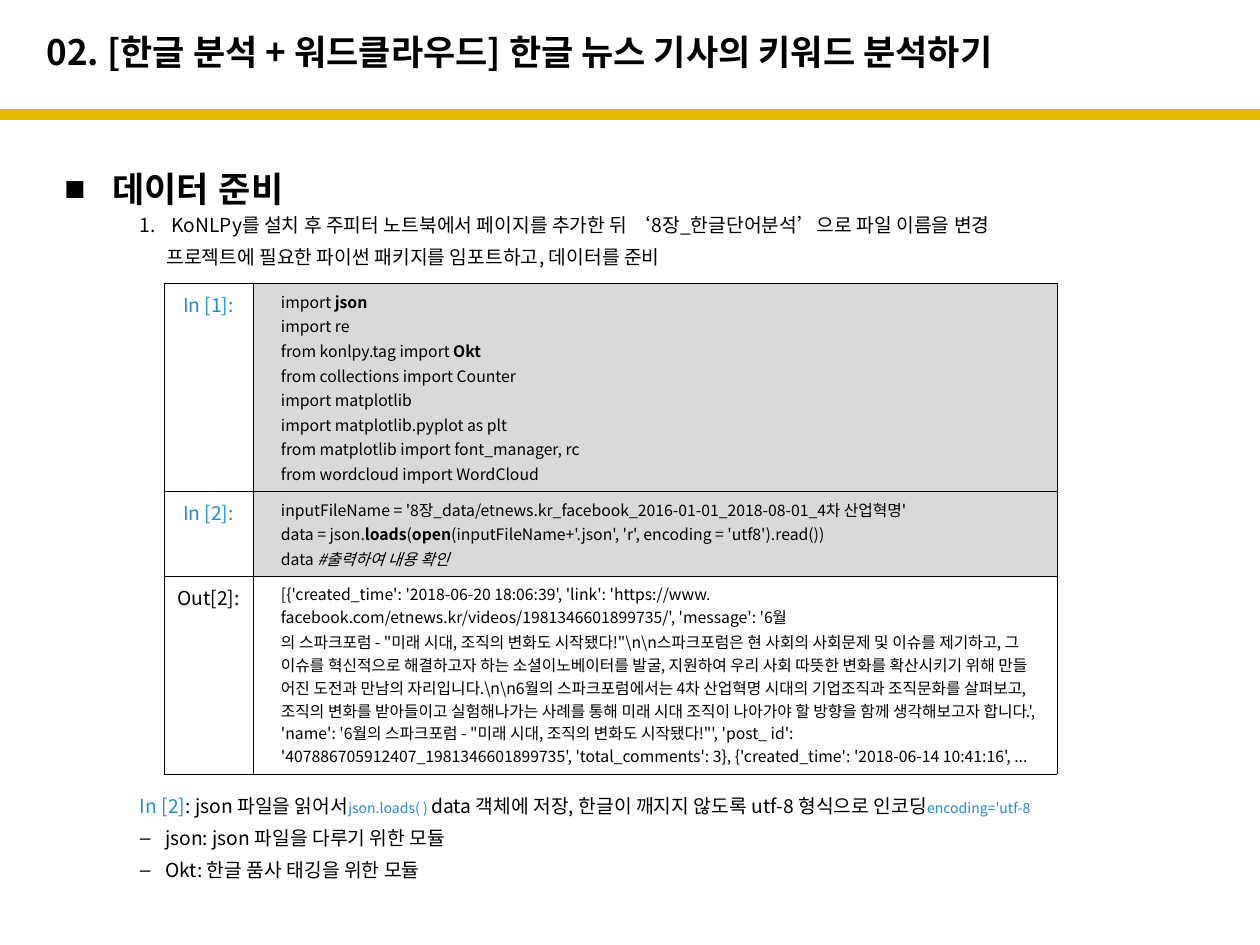
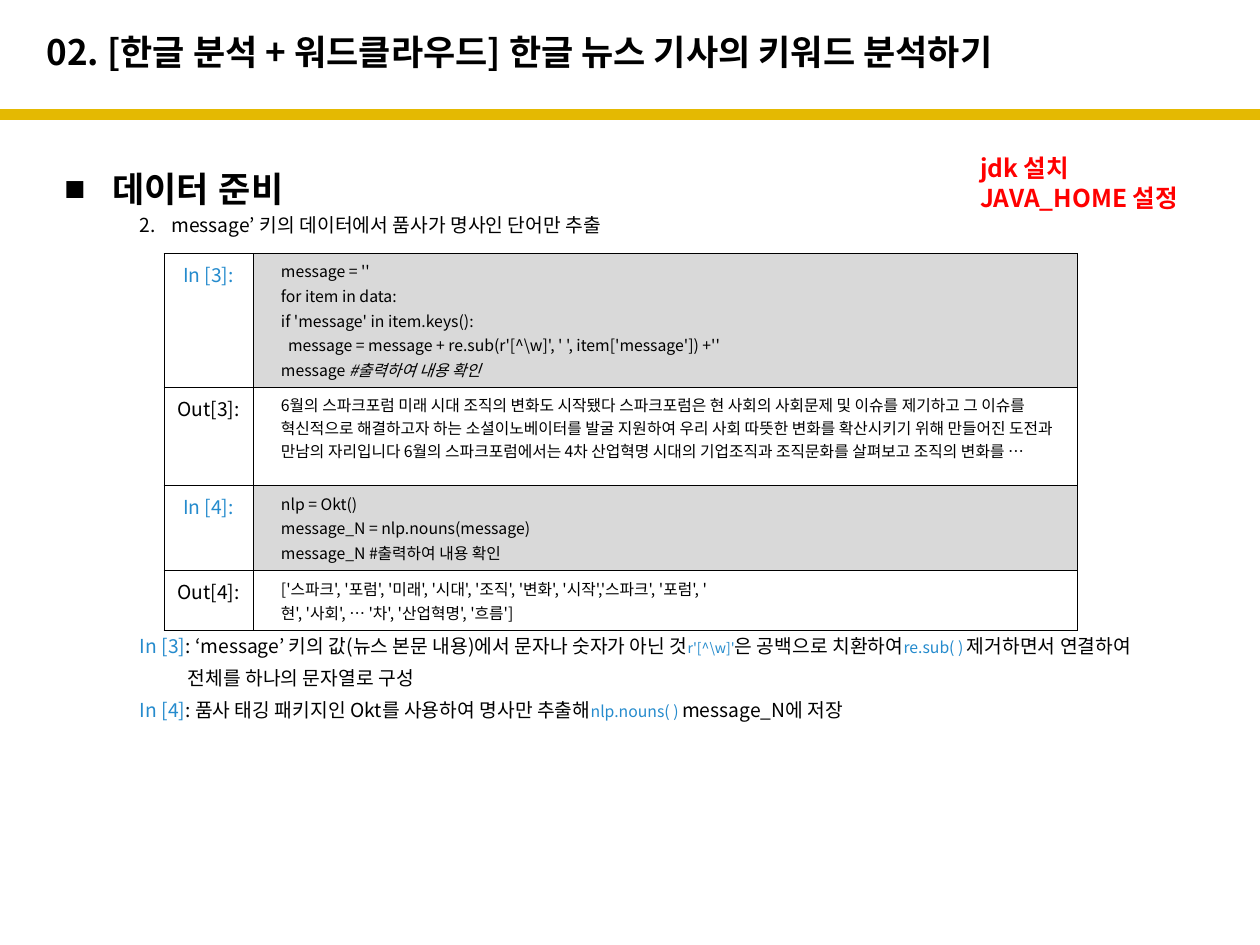
from lxml import etree
from pptx import Presentation
from pptx import util as u
from pptx.dml.color import RGBColor
from pptx.enum import shapes, text
from pptx.oxml.ns import qn

HUES = {"gold": "E4B902", "ink": "000000", "blue": "258BCD",
        "grey": "D9D9D9", "white": "FFFFFF", "red": "FF0000"}
FONT = "Noto Sans CJK KR"
HEAD = "02. [한글 분석 + 워드클라우드] 한글 뉴스 기사의 키워드 분석하기"
TOPIC = "데이터 준비"

deck = Presentation()
deck.slide_width, deck.slide_height = u.Inches(10), u.Inches(7.5)
UNIT = deck.slide_width // 100  # the slide is a grid of 100 columns and 75 rows

# Pieces between bars are marked: bold or italic in code, blue in notes.
SMALL = {"json.loads( ) ": 8, "encoding='utf-8": 8, r"r'[^\w]'": 8,
         "re.sub( ) ": 9, "nlp.nouns( ) ": 9}

# List and note lines: (text, left margin, first indent, bullet)
# Code rows: (label, height, lines)
PAGES = [
    {
        "list": [
            ("KoNLPy를 설치 후 주피터 노트북에서 페이지를 추가한 뒤 "
             "‘8장_한글단어분석’으로 파일 이름을 변경", 9.4, -2.5, 1),
            ("프로젝트에 필요한 파이썬 패키지를 임포트하고, 데이터를 준비", 9, 0, None),
        ],
        "top": 22.5, "wide": 63.8,
        "rows": [
            ("In [1]:", 15.4, [
                "import |json|",
                "import re",
                "from konlpy.tag import |Okt|",
                "from collections import Counter",
                "import matplotlib",
                "import matplotlib.pyplot as plt",
                "from matplotlib import font_manager, rc",
                "from wordcloud import WordCloud"]),
            ("In [2]:", 6.7, [
                "inputFileName = '8장_data/etnews.kr_facebook_2016-01-01_2018-08-01_4차 산업혁명'",
                "data = json.|loads|(|open|(inputFileName+'.json', 'r', encoding = 'utf8').read())",
                "data |#출력하여 내용 확인|"]),
            ("Out[2]:", 15.2, [
                "[{'created_time': '2018-06-20 18:06:39', 'link': 'https://www. "
                "facebook.com/etnews.kr/videos/1981346601899735/', 'message': '6월",
                r"""의 스파크포럼 - "미래 시대, 조직의 변화도 시작됐다!"\n\n스파크포럼은 현 사회의 """
                "사회문제 및 이슈를 제기하고, 그 이슈를 혁신적으로 해결하고자 하는 "
                "소셜이노베이터를 발굴, 지원하여 우리 사회 따뜻한 변화를 확산시키기 위해 "
                r"만들 어진 도전과 만남의 자리입니다.\n\n6월의 스파크포럼에서는 4차 산업혁명 "
                "시대의 기업조직과 조직문화를 살펴보고, 조직의 변화를 받아들이고 실험해나가는 "
                "사례를 통해 미래 시대 조직이 나아가야 할 방향을 함께 생각해보고자 합니다.', "
                """'name': '6월의 스파크포럼 - "미래 시대, 조직의 변화도 시작됐다!"', """
                "'post_ id': '407886705912407_1981346601899735', 'total_comments': 3}, "
                "{'created_time': '2018-06-14 10:41:16', ..."]),
        ],
        "foot": 63,
        "notes": [
            ("|In [2]|: json 파일을 읽어서|json.loads( ) |data 객체에 저장, 한글이 깨지지 "
             "않도록 utf-8 형식으로 인코딩|encoding='utf-8|", 6.9, 0, None),
            ("json: json 파일을 다루기 위한 모듈", 8.9, -2, "–"),
            ("Okt: 한글 품사 태깅을 위한 모듈", 8.9, -2, "–"),
        ],
        "tip": [],
    },
    {
        "list": [("message’ 키의 데이터에서 품사가 명사인 단어만 추출", 9.4, -2.5, 2)],
        "top": 20.1, "wide": 65.4,
        "rows": [
            ("In [3]:", 9.6, [
                "message = ''",
                "for item in data:",
                "if 'message' in item.keys():",
                r"  message = message + re.sub(r'[^\w]', ' ', item['message']) +''",
                "message |#출력하여 내용 확인|"]),
            ("Out[3]:", 7.8, [
                "6월의 스파크포럼 미래 시대 조직의 변화도 시작됐다 스파크포럼은 현 사회의 "
                "사회문제 및 이슈를 제기하고 그 이슈를 혁신적으로 해결하고자 하는 "
                "소셜이노베이터를 발굴 지원하여 우리 사회 따뜻한 변화를 확산시키기 위해 "
                "만들어진 도전과 만남의 자리입니다 6월의 스파크포럼에서는 4차 산업혁명 "
                "시대의 기업조직과 조직문화를 살펴보고 조직의 변화를 …"]),
            ("In [4]:", 6, [
                "nlp = Okt()",
                "message_N = nlp.nouns(message)",
                "message_N #출력하여 내용 확인"]),
            ("Out[4]:", 4.7, [
                "['스파크', '포럼', '미래', '시대', '조직', '변화', '시작','스파크', '포럼', '",
                "현', '사회', … '차', '산업혁명', '흐름']"]),
        ],
        "foot": 50.3,
        "notes": [
            ("|In [3]|: ‘message’ 키의 값(뉴스 본문 내용)에서 문자나 숫자가 아닌 것"
             r"|r'[^\w]'|은 공백으로 치환하여|re.sub( ) |제거하면서 연결하여", 6.9, 0, None),
            ("전체를 하나의 문자열로 구성", 10.7, 0, None),
            ("|In [4]|: 품사 태깅 패키지인 Okt를 사용하여 명사만 추출해"
             "|nlp.nouns( ) |message_N에 저장", 6.9, 0, None),
        ],
        "tip": ["jdk 설치", "JAVA_HOME 설정"],
    },
]


def write(par, words, size, hue="ink", bold=False, face=FONT, code=False):
    """Fill a paragraph, giving the pieces between bars their own look."""
    for n, piece in enumerate(words.split("|")):
        if not piece:
            continue
        run, mark = par.add_run(), n % 2 == 1
        run.text = piece
        font = run.font
        font.name, font.size = face, u.Pt(size)
        font.bold = bold
        if mark and code:
            font.italic = piece.startswith("#")
            font.bold = not font.italic
        elif mark:
            font.size = u.Pt(SMALL.get(piece, size))
        tint = "blue" if mark and not code else hue
        font.color.rgb = RGBColor.from_string(HUES[tint])
        east = etree.SubElement(run._r.get_or_add_rPr(), qn("a:ea"))
        east.set("typeface", face)


def indent(par, left, first=0, mark=None):
    """Set margins in grid units, and a number, a bullet or neither."""
    props = par._p.get_or_add_pPr()
    props.set("marL", str(int(left * UNIT)))
    props.set("indent", str(int(first * UNIT)))
    if mark is None:
        etree.SubElement(props, qn("a:buNone"))
    elif isinstance(mark, int):
        num = etree.SubElement(props, qn("a:buAutoNum"), type="arabicPeriod")
        num.set("startAt", str(mark))
    else:
        etree.SubElement(props, qn("a:buFont"), typeface="Arial")
        etree.SubElement(props, qn("a:buChar"), char=mark)


for page in PAGES:
    slide = deck.slides.add_slide(deck.slide_layouts[3])
    title, body, notes = slide.placeholders

    # Gold rule under the title
    rule = slide.shapes.add_connector(shapes.MSO_CONNECTOR.STRAIGHT, 0, int(9.1 * UNIT),
                                      deck.slide_width, int(9.1 * UNIT))
    rule.line.color.rgb = RGBColor.from_string(HUES["gold"])
    rule.line.width = u.Pt(6)
    etree.SubElement(rule._element.spPr, qn("a:effectLst"))

    # Frames of the three placeholders
    for box, place in ((title, (2.7, 1.1, 86.6, 6)), (body, (3.2, 11.1, 94.5, 11)),
                       (notes, (3.2, page["foot"], 94.5, 9))):
        box.left, box.top, box.width, box.height = (int(v * UNIT) for v in place)
        box.text_frame.auto_size = text.MSO_AUTO_SIZE.NONE
        box.text_frame.word_wrap = True
    notes.text_frame.margin_top = 0

    # Title
    title.text_frame.vertical_anchor = text.MSO_ANCHOR.MIDDLE
    par = title.text_frame.paragraphs[0]
    par.alignment = text.PP_ALIGN.LEFT
    write(par, HEAD, 20, bold=True)

    # Topic
    par = body.text_frame.paragraphs[0]
    indent(par, 4.7, -3.8, "■")
    par.line_spacing, par.space_before, par.space_after = 1.5, u.Pt(0), u.Pt(0)
    write(par, TOPIC, 20, bold=True, face="Arial")

    # List under the topic, and notes under the table
    for box, lines in ((body, page["list"]), (notes, page["notes"])):
        for n, (words, left, first, mark) in enumerate(lines):
            fresh = box is notes and n == 0
            par = box.text_frame.paragraphs[0] if fresh else box.text_frame.add_paragraph()
            par.level = 3
            indent(par, left, first, mark)
            par.space_before, par.space_after = u.Pt(0 if fresh else 2.2), u.Pt(3)
            write(par, words, 11)

    # Code table
    rows = page["rows"]
    cols = (7.1, page["wide"])
    tall = sum(row[1] for row in rows)
    grid = slide.shapes.add_table(len(rows), 2, 13 * UNIT, int(page["top"] * UNIT),
                                  int(sum(cols) * UNIT), int(tall * UNIT)).table
    grid.first_row = grid.horz_banding = False
    for col, wide in zip(grid.columns, cols):
        col.width = int(wide * UNIT)
    for row, (label, high, lines) in zip(grid.rows, rows):
        row.height = int(high * UNIT)
        input_row = label.startswith("In")
        for cell, fill in zip(row.cells, ("white", "grey" if input_row else "white")):
            for side in ("lnL", "lnR", "lnT", "lnB"):
                edge = etree.SubElement(cell._tc.get_or_add_tcPr(), qn("a:" + side),
                                        w=str(u.Pt(0.25)))
                paint = etree.SubElement(edge, qn("a:solidFill"))
                etree.SubElement(paint, qn("a:srgbClr"), val=HUES["ink"])
            cell.fill.solid()
            cell.fill.fore_color.rgb = RGBColor.from_string(HUES[fill])
        name, code = row.cells
        par = name.text_frame.paragraphs[0]
        par.alignment, par.space_after = text.PP_ALIGN.CENTER, u.Pt(3)
        write(par, label, 11, "blue" if input_row else "ink")
        for n, line in enumerate(lines):
            par = code.text_frame.add_paragraph() if n else code.text_frame.paragraphs[0]
            indent(par, 1.2)
            par.space_before, par.space_after = u.Pt(0.5 if n else 0), u.Pt(0.5)
            write(par, line, 9, code=True)

    # Red setup tip
    if page["tip"]:
        tip = slide.shapes.add_textbox(*(int(v * UNIT) for v in (76.8, 11.1, 20.1, 6.8)))
        frame = tip.text_frame
        frame.word_wrap, frame.vertical_anchor = True, text.MSO_ANCHOR.MIDDLE
        for n, line in enumerate(page["tip"]):
            par = frame.add_paragraph() if n else frame.paragraphs[0]
            write(par, line, 14, "red", bold=True)

deck.save("out.pptx")
